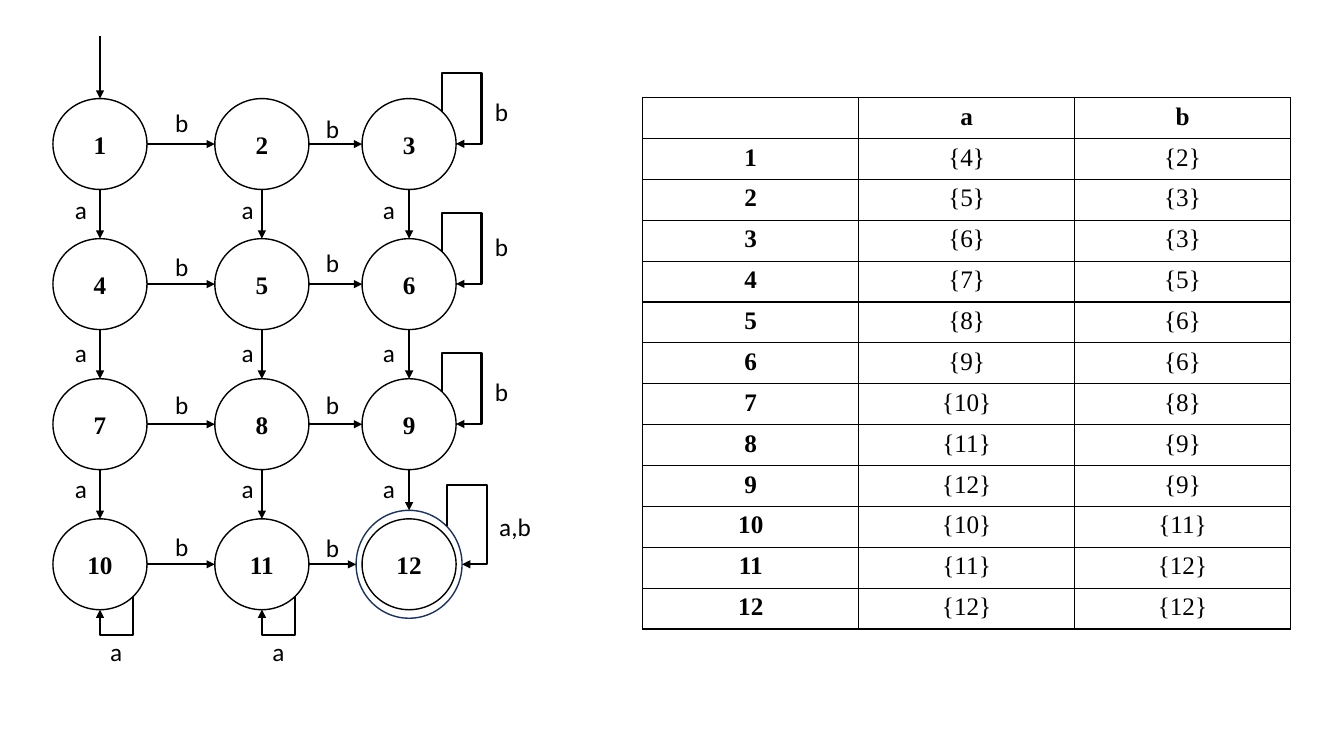
"""Builds a slide with a twelve-state automaton and its transition table."""
from lxml.etree import SubElement
from pptx import Presentation
from pptx.dml.color import RGBColor
from pptx.enum.shapes import MSO_CONNECTOR, MSO_SHAPE
from pptx.enum.text import MSO_ANCHOR, PP_ALIGN
from pptx.oxml.ns import qn
from pptx.util import Cm, Pt

BLACK = RGBColor(0x00, 0x00, 0x00)
NAVY = RGBColor(0x1E, 0x32, 0x56)
STRAIGHT, ELBOW = MSO_CONNECTOR.STRAIGHT, MSO_CONNECTOR.ELBOW
OVAL = MSO_SHAPE.OVAL
CENTER, MIDDLE = PP_ALIGN.CENTER, MSO_ANCHOR.MIDDLE
SERIF, SANS = "Times New Roman", "Calibri"

COLUMN_X = [2.52, 6.6, 10.31]
ROW_Y = [3.63 + 3.53 * row for row in range(4)]
STATE_W, STATE_H = 2.37, 2.29
FINAL_W, FINAL_H = 2.67, 2.72
LABEL_W, LABEL_H = 1.32, 1.02


def write(frame, text, font, bold=False):
    """Puts one centred run into a text frame."""
    para = frame.paragraphs[0]
    para.alignment = CENTER
    span = para.add_run()
    span.text = text
    span.font.name = font
    span.font.size = Pt(18)
    span.font.bold = bold
    span.font.color.rgb = BLACK


def draw_arrow(kind, x1, y1, x2, y2):
    """Draws a black connector with an arrowhead at its end."""
    arrow = slide.shapes.add_connector(kind, Cm(x1), Cm(y1), Cm(x2), Cm(y2))
    arrow.line.color.rgb = BLACK
    arrow.line.width = Pt(1.5)
    properties = arrow.element.spPr
    SubElement(properties.find(qn("a:ln")), qn("a:tailEnd"), type="triangle")
    SubElement(properties, qn("a:effectLst"))
    return properties


deck = Presentation()
deck.slide_width, deck.slide_height = Cm(33.87), Cm(19.05)
slide = deck.slides.add_slide(deck.slide_layouts[6])

ovals = [(str(3 * row + column + 1), x, y, STATE_W, STATE_H, BLACK)
         for row, y in enumerate(ROW_Y) for column, x in enumerate(COLUMN_X)]
ovals.append(("", COLUMN_X[-1], ROW_Y[-1], FINAL_W, FINAL_H, NAVY))
for name, x, y, width, height, color in ovals:
    state = slide.shapes.add_shape(OVAL, Cm(x - width / 2), Cm(y - height / 2), Cm(width), Cm(height))
    state.shadow.inherit = False
    state.fill.background()
    state.line.color.rgb = color
    state.line.width = Pt(1)
    if name:
        frame = state.text_frame
        frame.margin_left = frame.margin_right = 0
        frame.vertical_anchor = MIDDLE
        write(frame, name, SERIF, True)

draw_arrow(STRAIGHT, COLUMN_X[0], 0.91, COLUMN_X[0], ROW_Y[0] - STATE_H / 2)
for row, y in enumerate(ROW_Y):
    for column, x in enumerate(COLUMN_X):
        if column < 2:
            target_w = FINAL_W if (row, column) == (3, 1) else STATE_W
            draw_arrow(STRAIGHT, x + STATE_W / 2, y, COLUMN_X[column + 1] - target_w / 2, y)
        if row < 3:
            target_h = FINAL_H if (row, column) == (2, 2) else STATE_H
            draw_arrow(STRAIGHT, x, y + STATE_H / 2, x, ROW_Y[row + 1] - target_h / 2)

RIGHT_TURN = {"rot": "16200000", "flipH": "1"}
BOTTOM_TURN = {"rot": "5400000"}
loops = [(COLUMN_X[2] + 1.01, y - 0.41, 0.81, 0.35, RIGHT_TURN, [-120400, 282900]) for y in ROW_Y[:3]]
loops.append((COLUMN_X[2] + 1.14, ROW_Y[3] - 0.48, 0.96, 0.39, RIGHT_TURN, [-107700, 262200]))
loops += [(x + 0.42, ROW_Y[3] + 0.97, 0.34, 0.84, BOTTOM_TURN, [290700]) for x in COLUMN_X[:2]]
for x, y, width, height, turn, bends in loops:
    properties = draw_arrow(ELBOW, x - width / 2, y - height / 2, x + width / 2, y + height / 2)
    for key, value in turn.items():
        properties.find(qn("a:xfrm")).set(key, value)
    geometry = properties.find(qn("a:prstGeom"))
    geometry.set("prst", f"bentConnector{len(bends) + 2}")
    for number, bend in enumerate(bends, 1):
        SubElement(geometry.find(qn("a:avLst")), qn("a:gd"), name=f"adj{number}", fmla=f"val {bend}")

labels = [("a", x, y) for x in (2.04, 6.24, 9.8) for y in (5.28, 8.89, 12.32)]
labels += [("a", x, 16.43) for x in (2.93, 7.02)]
labels += [("b", 4.58, y) for y in (3.1, 6.73, 10.19, 13.77)]
labels += [("b", 8.38, y) for y in (3.23, 6.63, 10.19, 13.79)]
labels += [("b", 12.64, y) for y in (2.82, 6.22, 9.86)]
labels.append(("a,b", 12.98, 13.26))
for symbol, x, y in labels:
    box = slide.shapes.add_textbox(Cm(x - LABEL_W / 2), Cm(y - LABEL_H / 2), Cm(LABEL_W), Cm(LABEL_H))
    frame = box.text_frame
    frame.word_wrap = True
    frame.margin_left = frame.margin_right = 0
    write(frame, symbol, SANS)

transitions = [("", "a", "b")]
for state in range(1, 13):
    after_a = state + 3 if state < 10 else state
    after_b = state + 1 if state % 3 else state
    transitions.append((str(state), f"{{{after_a}}}", f"{{{after_b}}}"))

table = slide.shapes.add_table(13, 3, Cm(16.2), Cm(2.46), Cm(16.32), Cm(13.39)).table
table.first_row = table.horz_banding = False
for row, texts in enumerate(transitions):
    for column, text in enumerate(texts):
        cell = table.cell(row, column)
        borders = cell._tc.get_or_add_tcPr()
        for side in ("a:lnL", "a:lnR", "a:lnT", "a:lnB"):
            border = SubElement(borders, qn(side), w=str(Pt(1)))
            SubElement(SubElement(border, qn("a:solidFill")), qn("a:srgbClr"), val=str(BLACK))
        cell.fill.background()
        if text:
            write(cell.text_frame, text, SERIF, row == 0 or column == 0)

deck.save("out.pptx")
